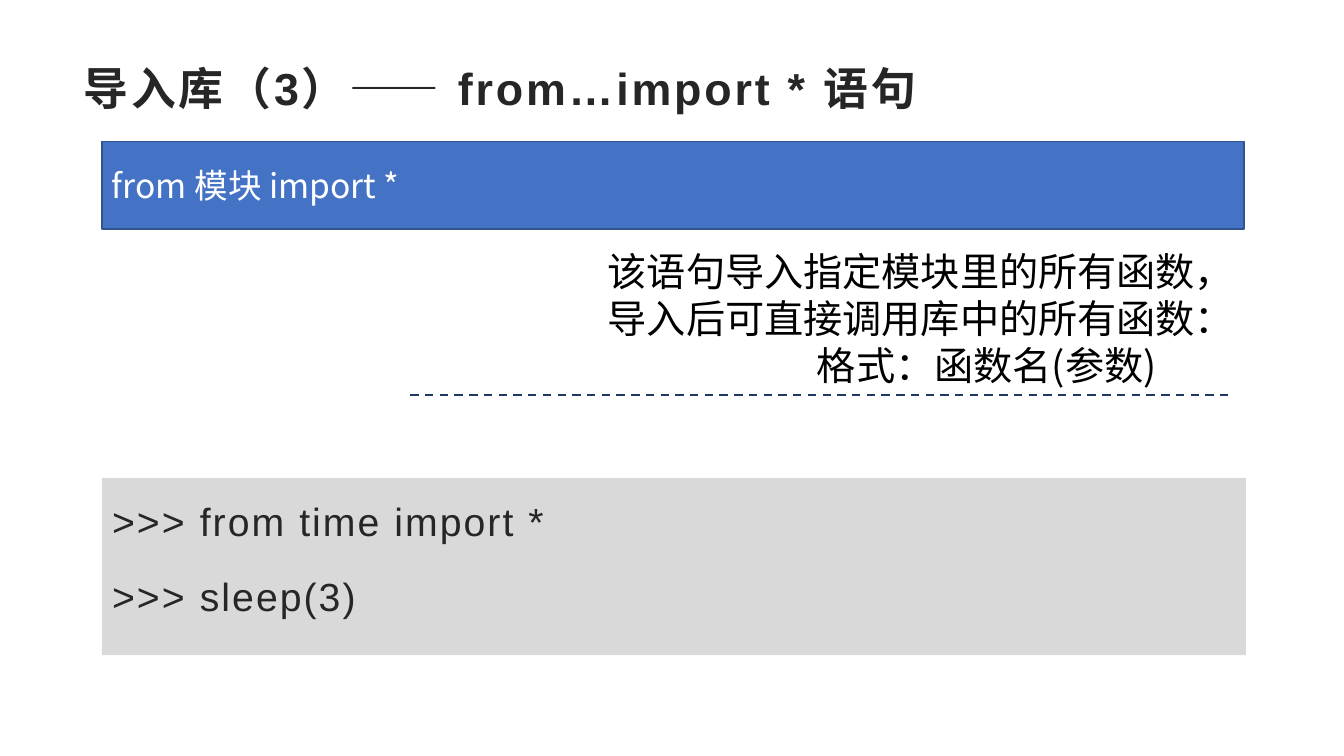
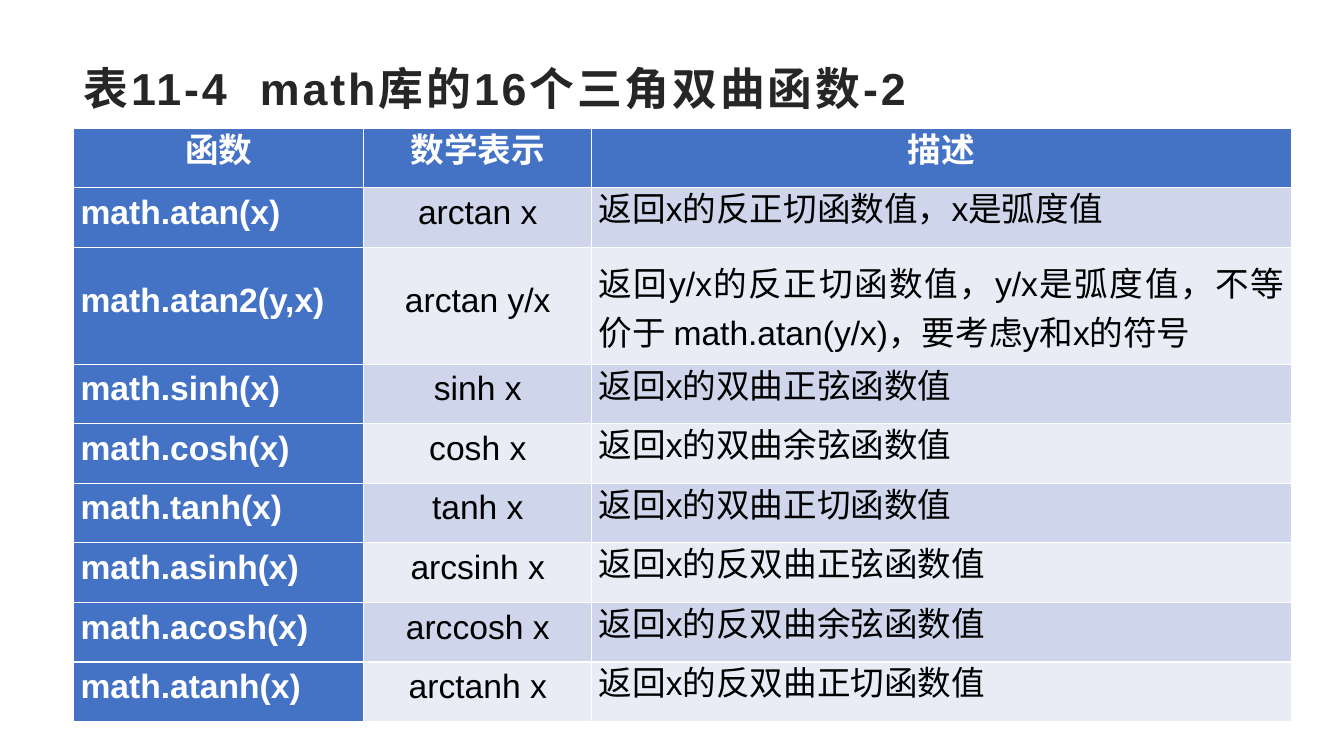
"""Two slides on importing Python modules and on the math library's functions."""
from dataclasses import dataclass

from lxml.etree import SubElement
from pptx import Presentation
from pptx.dml.color import RGBColor
from pptx.enum.dml import MSO_LINE
from pptx.enum.shapes import MSO_CONNECTOR, MSO_SHAPE
from pptx.enum.text import MSO_ANCHOR, MSO_AUTO_SIZE, PP_ALIGN
from pptx.oxml.ns import qn
from pptx.util import Cm, Pt


@dataclass(frozen=True)
class Theme:
    ink: str = "262626"
    black: str = "000000"
    white: str = "FFFFFF"
    blue: str = "4472C4"
    edge: str = "325491"
    navy: str = "203864"
    grey: str = "D9D9D9"
    bands: tuple = ("CFD5EA", "E9EBF5")
    latin: str = "Arial"
    cjk: str = "Noto Sans CJK SC"
    title: int = 32
    body: int = 28
    small: int = 24


T = Theme()


def rgb(value):
    return RGBColor.from_string(value)


def write(tf, text, size=T.body, color=T.black, font=T.latin, bold=False,
          align=PP_ALIGN.LEFT, line=None, after=0, spc=0, indent=0, plain=False):
    p = tf.add_paragraph() if tf.text else tf.paragraphs[0]
    p.alignment, p.line_spacing = align, line
    p.space_before, p.space_after = Pt(0), Pt(after)
    pPr = p._p.get_or_add_pPr()
    pPr.set("marL", "0")
    pPr.set("indent", str(Cm(indent)))
    if plain:
        SubElement(pPr, qn("a:buNone"))
    r = p.add_run()
    r.text = text
    r.font.size, r.font.bold, r.font.name = Pt(size), bold, font
    r.font.color.rgb = rgb(color)
    rPr = r._r.get_or_add_rPr()
    rPr.set("spc", str(int(spc * 100)))
    SubElement(rPr, qn("a:ea")).set("typeface", T.cjk)


prs = Presentation()
prs.slide_width, prs.slide_height = Cm(33.87), Cm(19.05)

master = prs.slide_master
title = master.placeholders[0]
title.left, title.top, title.width, title.height = Cm(1.85), Cm(1.22), Cm(30.15), Cm(1.98)
title.text_frame.auto_size = MSO_AUTO_SIZE.NONE
title.text_frame.vertical_anchor = MSO_ANCHOR.MIDDLE
level = master.element.find(".//" + qn("p:titleStyle")).find(qn("a:lvl1pPr"))
level.set("algn", "l")
style = level.find(qn("a:defRPr"))
for child in list(style):
    style.remove(child)
for key, value in (("sz", T.title * 100), ("b", 1), ("spc", 200)):
    style.set(key, str(value))
SubElement(SubElement(style, qn("a:solidFill")), qn("a:srgbClr")).set("val", T.ink)
SubElement(style, qn("a:latin")).set("typeface", T.latin)
SubElement(style, qn("a:ea")).set("typeface", T.cjk)

s = prs.slides.add_slide(prs.slide_layouts[1])
s.shapes.title.text = "导入库（3）—— from…import * 语句"

code = s.placeholders[1]
code.left, code.top, code.width, code.height = Cm(2.57), Cm(12.04), Cm(28.83), Cm(4.47)
code.fill.solid()
code.fill.fore_color.rgb = rgb(T.grey)
tf = code.text_frame
tf.auto_size, tf.vertical_anchor = MSO_AUTO_SIZE.NONE, MSO_ANCHOR.TOP
for text in (">>> from time import *", ">>> sleep(3)"):
    write(tf, text, color=T.ink, line=1.3, after=10, spc=1.5, plain=True)

syntax = s.shapes.add_shape(MSO_SHAPE.RECTANGLE, Cm(2.57), Cm(3.56), Cm(28.78), Cm(2.21))
syntax.shadow.inherit = False
syntax.fill.solid()
syntax.fill.fore_color.rgb = rgb(T.blue)
syntax.line.color.rgb, syntax.line.width = rgb(T.edge), Pt(1)
syntax.text_frame.vertical_anchor = MSO_ANCHOR.MIDDLE
write(syntax.text_frame, "from 模块 import *", size=T.small, color=T.white, font=T.cjk)

tf = s.shapes.add_textbox(Cm(10.34), Cm(6.1), Cm(21.01), Cm(3.84)).text_frame
tf.word_wrap, tf.auto_size = True, MSO_AUTO_SIZE.SHAPE_TO_FIT_TEXT
for text in ("该语句导入指定模块里的所有函数，", "导入后可直接调用库中的所有函数："):
    write(tf, text, font=T.cjk, align=PP_ALIGN.RIGHT)
write(tf, "格式：函数名(参数)", font=T.cjk, indent=10)

rule = s.shapes.add_connector(MSO_CONNECTOR.STRAIGHT, Cm(10.34), Cm(9.96), Cm(31.04), Cm(9.96))
rule.line.color.rgb, rule.line.width = rgb(T.navy), Pt(1.5)
rule.line.dash_style = MSO_LINE.DASH
SubElement(rule._element.spPr, qn("a:effectLst"))

s = prs.slides.add_slide(prs.slide_layouts[5])
s.shapes.title.text = "表11-4  math库的16个三角双曲函数-2"

rows = [
    ("函数", "数学表示", "描述"),
    ("math.atan(x)", "arctan x", "返回x的反正切函数值，x是弧度值"),
    ("math.atan2(y,x)", "arctan y/x",
     "返回y/x的反正切函数值，y/x是弧度值，不等价于 math.atan(y/x)，要考虑y和x的符号"),
    ("math.sinh(x)", "sinh x", "返回x的双曲正弦函数值"),
    ("math.cosh(x)", "cosh x", "返回x的双曲余弦函数值"),
    ("math.tanh(x)", "tanh x", "返回x的双曲正切函数值"),
    ("math.asinh(x)", "arcsinh x", "返回x的反双曲正弦函数值"),
    ("math.acosh(x)", "arccosh x", "返回x的反双曲余弦函数值"),
    ("math.atanh(x)", "arctanh x", "返回x的反双曲正切函数值"),
]
widths = (7.32, 5.74, 17.63)
heights = [2.95 if i == 2 else 1.5 for i in range(len(rows))]
tbl = s.shapes.add_table(len(rows), len(widths), Cm(1.85), Cm(3.23),
                         Cm(sum(widths)), Cm(sum(heights))).table
tbl.first_col = True
for col, width in zip(tbl.columns, widths):
    col.width = Cm(width)
for i, row in enumerate(rows):
    tbl.rows[i].height = Cm(heights[i])
    for j, text in enumerate(row):
        head = i == 0 or j == 0
        cell = tbl.cell(i, j)
        cell.fill.solid()
        cell.fill.fore_color.rgb = rgb(T.blue if head else T.bands[(i - 1) % 2])
        cell.vertical_anchor = MSO_ANCHOR.MIDDLE
        cell.margin_left = cell.margin_right = Cm(0.18)
        cell.margin_top, cell.margin_bottom = Cm(0.03), 0
        write(cell.text_frame, text, size=T.small, bold=head,
              color=T.white if head else T.black,
              align=PP_ALIGN.CENTER if i == 0 or j == 1 else PP_ALIGN.JUSTIFY,
              line=None if (i, j) == (2, 2) else Pt(19))

prs.save("out.pptx")
